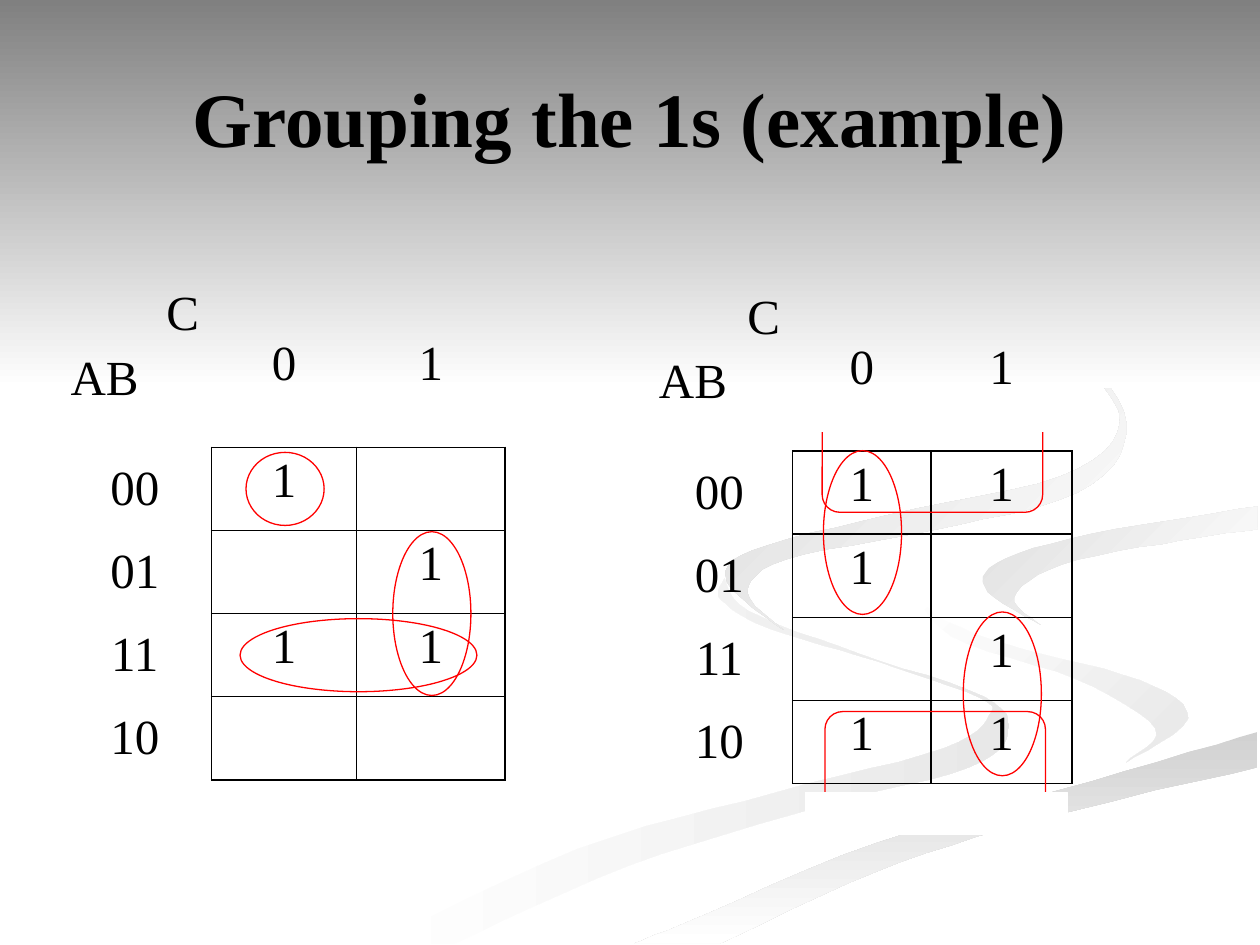
from lxml import etree
from pptx import Presentation
from pptx.dml.color import RGBColor
from pptx.enum.shapes import MSO_SHAPE
from pptx.enum.text import MSO_ANCHOR, PP_ALIGN
from pptx.oxml.ns import qn
from pptx.util import Inches, Pt

LEFT, CENTER, RIGHT = PP_ALIGN.LEFT, PP_ALIGN.CENTER, PP_ALIGN.RIGHT
TOP, MIDDLE = MSO_ANCHOR.TOP, MSO_ANCHOR.MIDDLE
OVAL, RECT = MSO_SHAPE.OVAL, MSO_SHAPE.RECTANGLE
ROUND_BOX = MSO_SHAPE.FLOWCHART_ALTERNATE_PROCESS

COLORS = {"ink": "000000", "ring": "FF0000", "white": "FFFFFF", "sky": "808080",
          "pale": "E8E8E8", "mid": "E0E0E0", "soft": "D8D8D8", "deep": "D1D1D1"}
COLORS = {name: RGBColor.from_string(value) for name, value in COLORS.items()}
FONT = "Times New Roman"
NO_STYLE = "{2D5ABB26-0587-4C30-8999-92F81FD0307C}"
HUNDREDTH = 9144  # EMU in 0.01 inch, the unit of the ribbon points

# Two long edges, start colour, end colour, clockwise angle
RIBBONS = [
    ([(575, 459), (572, 476), (611, 499), (697, 525), (776, 553), (785, 568),
      (749, 594), (616, 629), (458, 674), (300, 749)],
     [(361, 749), (499, 687), (651, 640), (769, 609), (800, 581), (781, 553),
      (682, 519), (594, 485), (575, 459)], "white", "pale", 0),
    ([(724, 464), (745, 490), (811, 515), (905, 540), (943, 570), (894, 605)],
     [(894, 605), (917, 578), (854, 539), (755, 505), (724, 464)], "white", "pale", 45),
    ([(998, 581), (867, 620), (696, 669), (543, 733), (503, 749)],
     [(571, 749), (695, 692), (821, 651), (998, 609)], "deep", "white", 90),
    ([(998, 402), (865, 424), (791, 447), (784, 470), (826, 496)],
     [(826, 496), (805, 474), (843, 448), (936, 429), (998, 420)], "mid", "white", 45),
    ([(762, 233), (846, 279), (889, 335), (842, 378), (704, 409), (597, 437),
      (577, 462), (622, 500)],
     [(622, 500), (593, 470), (624, 444), (739, 421), (855, 391), (894, 344),
      (864, 291), (762, 233)], "soft", "white", 45),
]

# Left, top, column widths, cells holding 1, marks as kind, centre column and row, size
ROW, HEAD = 0.66, 1.32
MAPS = [
    {"left": 0.46, "top": 2.23, "cols": [1.22, 1.15, 1.18],
     "ones": ["1 ", " 1", "11", "  "],
     "marks": [(OVAL, 1.5, 2, 0.62, 1.3), (OVAL, 0.5, 0.5, 0.62, 0.58),
               (OVAL, 1, 2.5, 1.88, 0.58)]},
    {"left": 5.13, "top": 2.26, "cols": [1.16, 1.1, 1.12],
     "ones": ["11", "1 ", " 1", "11"],
     "marks": [(ROUND_BOX, 1, 0.1, 1.75, 0.84), (RECT, 1, -0.48, 2.08, 0.33),
               (ROUND_BOX, 1.02, 3.77, 1.75, 0.84), (RECT, 1.03, 4.36, 2.08, 0.33),
               (OVAL, 0.5, 0.98, 0.62, 1.3), (OVAL, 1.5, 2.92, 0.62, 1.3)]},
]


def write(p, text, align=CENTER, **font):
    p.alignment = align
    r = p.add_run()
    r.text = text
    for name, value in {"name": FONT, "size": Pt(28), **font}.items():
        setattr(r.font, name, value)
    r.font.color.rgb = COLORS["ink"]


def smooth(points, steps=6):
    """Return points along a Catmull-Rom curve through the given points."""
    ends = [points[0], *points, points[-1]]
    curve = []
    for a, b, c, d in zip(ends, ends[1:], ends[2:], ends[3:]):
        for t in (k / steps for k in range(steps)):
            curve.append(tuple(
                round(q + t / 2 * (r - p + t * (2 * p - 5 * q + 4 * r - u
                                                + t * (3 * q - 3 * r + u - p))))
                for p, q, r, u in zip(a, b, c, d)))
    return curve + [points[-1]]


prs = Presentation()
prs.slide_width, prs.slide_height = Inches(10), Inches(7.5)
s = prs.slides.add_slide(prs.slide_layouts[6])

backdrop = []
for edge, back, *gradient in RIBBONS:
    outline = smooth(edge) + smooth(back)
    builder = s.shapes.build_freeform(*outline[0], scale=HUNDREDTH)
    builder.add_line_segments(outline[1:], close=True)
    backdrop.append((builder.convert_to_shape(), *gradient))
sky = s.shapes.add_shape(RECT, 0, 0, prs.slide_width, Inches(3.08))
backdrop.append((sky, "sky", "white", 90))

for sp, start, end, angle in backdrop:
    sp.shadow.inherit = False
    sp.line.fill.background()
    sp.fill.gradient()
    sp.fill.gradient_angle = -angle % 360
    for stop, color in zip(sp.fill.gradient_stops, (start, end)):
        stop.color.rgb = COLORS[color]

tf = s.shapes.add_textbox(Inches(0.5), Inches(0.3), Inches(9), Inches(1.25)).text_frame
tf.word_wrap = True
tf.vertical_anchor = MIDDLE
write(tf.paragraphs[0], "Grouping the 1s (example)", size=Pt(44), bold=True)

for kmap in MAPS:
    left, top, cols = kmap["left"], kmap["top"], kmap["cols"]
    table = s.shapes.add_table(5, 3, Inches(left), Inches(top), Inches(sum(cols)),
                               Inches(HEAD + 4 * ROW)).table
    table.first_row = table.horz_banding = False
    table._tbl.tblPr[0].text = NO_STYLE
    for col, width in zip(table.columns, cols):
        col.width = Inches(width)

    texts = [["", "0", "1"]]
    texts += [[label, *ones] for label, ones in zip(["00", "01", "11", "10"], kmap["ones"])]
    for i, row in enumerate(table.rows):
        row.height = Inches(ROW if i else HEAD)
        for j, cell in enumerate(row.cells):
            cell.fill.background()
            cell.vertical_anchor = MIDDLE if (i == 0) != (j == 0) else TOP
            if texts[i][j].strip():
                write(cell.text_frame.paragraphs[0], texts[i][j])
            if i and j:
                tcPr = cell._tc.get_or_add_tcPr()
                for k, side in enumerate("LRTB"):
                    ln = etree.Element(qn(f"a:ln{side}"), w=str(Pt(1)))
                    fill = etree.SubElement(ln, qn("a:solidFill"))
                    etree.SubElement(fill, qn("a:srgbClr"), val=str(COLORS["ink"]))
                    tcPr.insert(k, ln)

    corner = table.cell(0, 0).text_frame
    write(corner.paragraphs[0], "C", RIGHT)
    p = corner.add_paragraph()
    p.space_before = Pt(5.6)
    write(p, "AB", LEFT)

# Rings are centred on cells; white boxes hide the open end of groups that wrap around
for kmap in MAPS:
    x0, y0 = kmap["left"] + kmap["cols"][0], kmap["top"] + HEAD
    col_width = sum(kmap["cols"][1:]) / 2
    for kind, col, row, w, h in kmap["marks"]:
        x, y = x0 + col * col_width - w / 2, y0 + row * ROW - h / 2
        sp = s.shapes.add_shape(kind, Inches(x), Inches(y), Inches(w), Inches(h))
        sp.shadow.inherit = False
        sp.line.width = Pt(0.75)
        sp.line.color.rgb = COLORS["white" if kind == RECT else "ring"]
        if kind == RECT:
            sp.fill.solid()
            sp.fill.fore_color.rgb = COLORS["white"]
        else:
            sp.fill.background()

prs.save("out.pptx")
